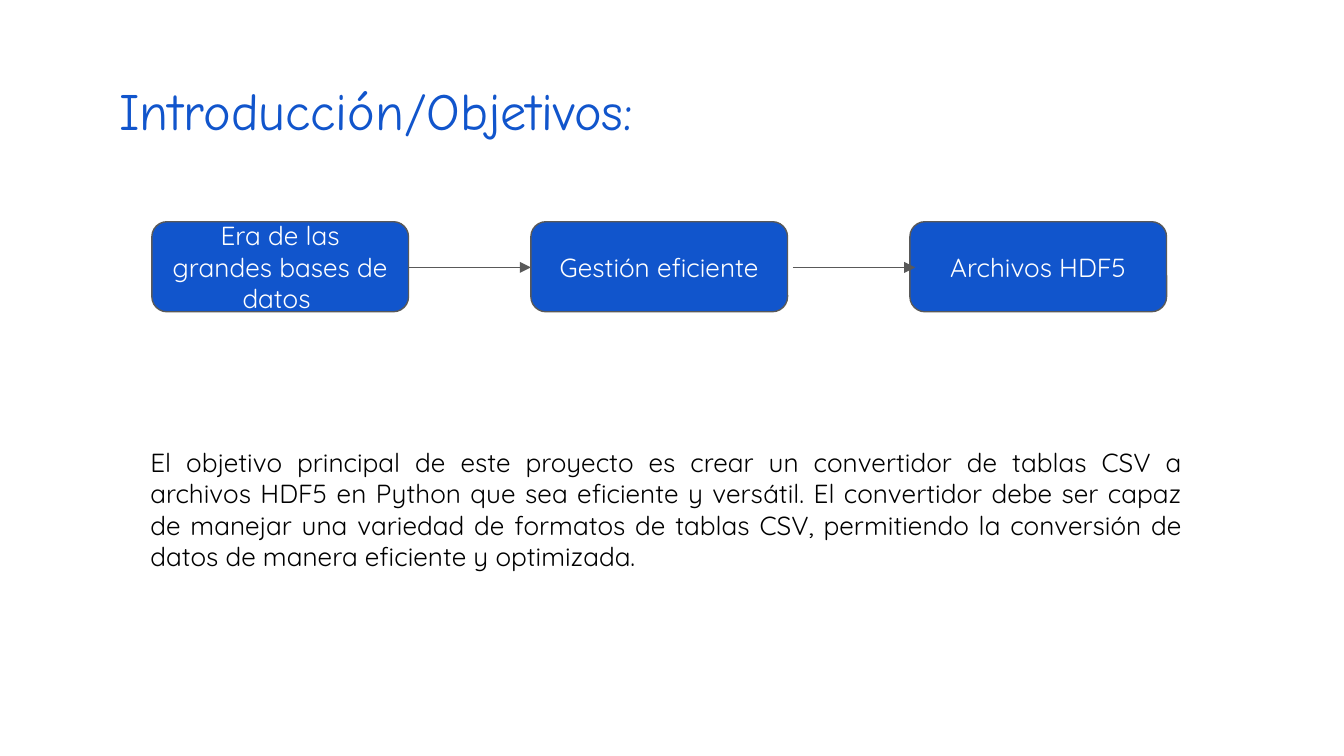
from lxml import etree
from pptx import Presentation
from pptx.dml.color import RGBColor
from pptx.enum.shapes import MSO_CONNECTOR, MSO_SHAPE
from pptx.enum.text import MSO_ANCHOR, PP_ALIGN
from pptx.oxml.ns import qn
from pptx.util import Inches, Pt

ROUNDED = MSO_SHAPE.ROUNDED_RECTANGLE
STRAIGHT = MSO_CONNECTOR.STRAIGHT
TOP, MIDDLE = MSO_ANCHOR.TOP, MSO_ANCHOR.MIDDLE
LEFT, CENTER, JUSTIFY = PP_ALIGN.LEFT, PP_ALIGN.CENTER, PP_ALIGN.JUSTIFY
BLUE, GRAY, WHITE, BLACK = "1155CC", "595959", "FFFFFF", "000000"


def rgb(value):
    return RGBColor.from_string(value)


def write(sp, text, font, size, color, align, anchor):
    tf = sp.text_frame
    tf.word_wrap = True
    tf.vertical_anchor = anchor
    tf.margin_left = tf.margin_right = Inches(0.1)
    tf.margin_top = tf.margin_bottom = Inches(0.1)
    p = tf.paragraphs[0]
    p.alignment = align
    r = p.add_run()
    r.text = text
    r.font.name = font
    r.font.size = Pt(size)
    r.font.color.rgb = rgb(color)


prs = Presentation()
prs.slide_width = Inches(10)
prs.slide_height = Inches(10) * 9 // 16
s = prs.slides.add_slide(prs.slide_layouts[6])

title = s.shapes.add_textbox(Inches(0.79), Inches(0.48), Inches(8.46), Inches(0.63))
write(title, "Introducción/Objetivos:", "Comic Neue", 28, BLUE, LEFT, TOP)

goal = s.shapes.add_textbox(Inches(1.02), Inches(3.22), Inches(7.88), Inches(1.02))
goal_text = (
    "El objetivo principal de este proyecto es crear un convertidor de tablas CSV "
    "a archivos HDF5 en Python que sea eficiente y versátil. El convertidor debe "
    "ser capaz de manejar una variedad de formatos de tablas CSV, permitiendo la "
    "conversión de datos de manera eficiente y optimizada."
)
write(goal, goal_text, "Quicksand", 14, BLACK, JUSTIFY, TOP)

steps = ["Era de las grandes bases de datos ", "Gestión eficiente", "Archivos HDF5"]
for i, step in enumerate(steps):
    sp = s.shapes.add_shape(ROUNDED, Inches(1.13 + 2.82 * i), Inches(1.65), Inches(1.91), Inches(0.67))
    sp.adjustments[0] = 0.167
    sp.shadow.inherit = False
    sp.fill.solid()
    sp.fill.fore_color.rgb = rgb(BLUE)
    sp.line.color.rgb = rgb(GRAY)
    sp.line.width = Pt(0.75)
    write(sp, step, "Quicksand", 14, WHITE, CENTER, MIDDLE)

for x in (3.04, 5.9):
    arrow = s.shapes.add_connector(STRAIGHT, Inches(x), Inches(1.99), Inches(x + 0.91), Inches(1.99))
    arrow.line.color.rgb = rgb(GRAY)
    arrow.line.width = Pt(0.75)
    etree.SubElement(arrow.line._get_or_add_ln(), qn("a:tailEnd"), type="triangle", w="med", len="med")
    etree.SubElement(arrow._element.spPr, qn("a:effectLst"))

prs.save("out.pptx")
